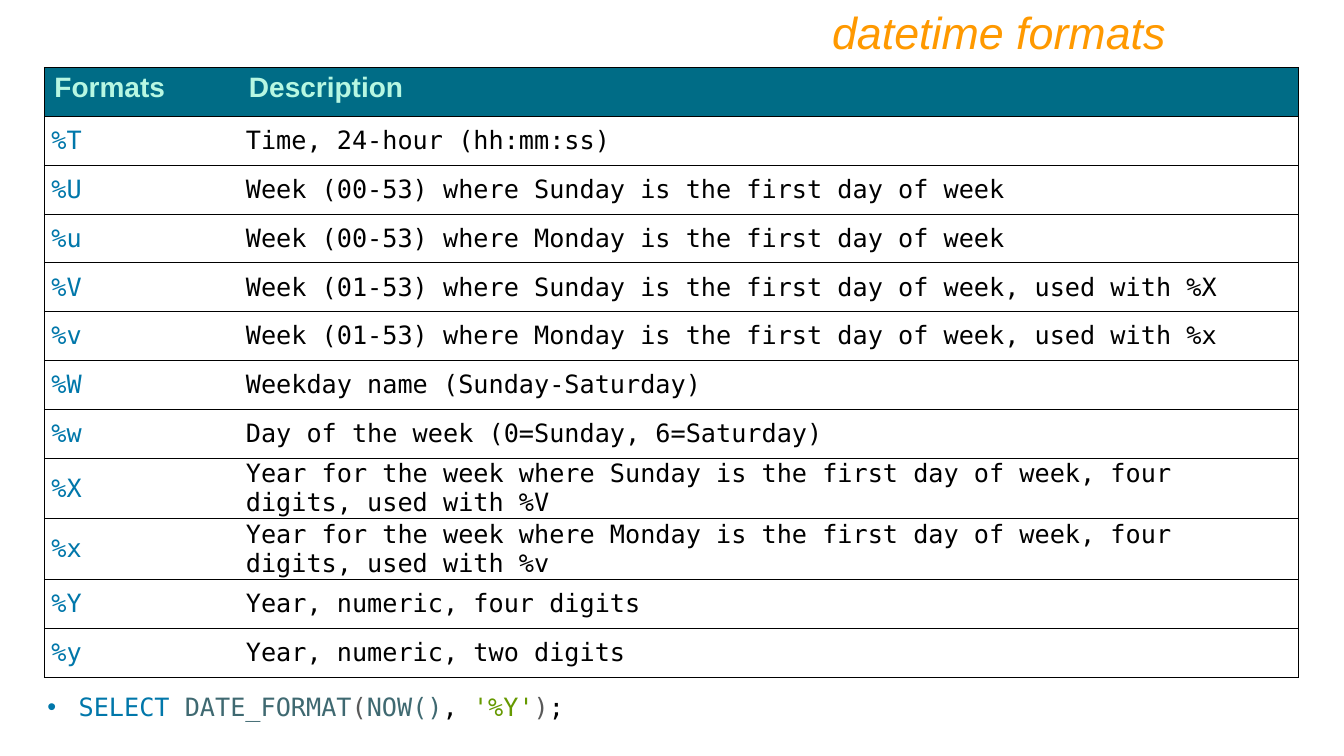
"""Build a slide that lists datetime format codes with a sample query."""
from dataclasses import dataclass

from lxml import etree
from pptx import Presentation
from pptx.dml.color import RGBColor
from pptx.enum.text import MSO_ANCHOR, MSO_AUTO_SIZE, PP_ALIGN
from pptx.oxml.ns import qn
from pptx.util import Pt

PX = 4572
TOP, MIDDLE = MSO_ANCHOR.TOP, MSO_ANCHOR.MIDDLE
GROW = MSO_AUTO_SIZE.SHAPE_TO_FIT_TEXT
LEFT, RIGHT = PP_ALIGN.LEFT, PP_ALIGN.RIGHT

BLACK = RGBColor(0x00, 0x00, 0x00)
ORANGE = RGBColor(0xFF, 0x99, 0x00)
TEAL = RGBColor(0x00, 0x6C, 0x86)
MINT = RGBColor(0xB7, 0xF7, 0xE2)
BLUE = RGBColor(0x00, 0x77, 0xAA)
SLATE = RGBColor(0x3F, 0x69, 0x71)
GREY = RGBColor(0x59, 0x59, 0x59)
GREEN = RGBColor(0x66, 0x99, 0x00)

SANS, MONO = "Arial", "DejaVu Sans Mono"
TITLE_FORMAT = {"name": SANS, "size": Pt(32), "italic": True, "bold": False}
HEADER_FORMAT = {"name": SANS, "size": Pt(20), "bold": True}
CODE_FORMAT = {"name": MONO, "size": Pt(18), "bold": False}


@dataclass(frozen=True)
class Box:
    """Place and size in px."""

    left: int
    top: int
    width: int
    height: int


@dataclass(frozen=True)
class Span:
    """Text in one colour."""

    text: str
    color: RGBColor


@dataclass(frozen=True)
class FormatCode:
    """A format code and its meaning."""

    code: str
    meaning: str


PAGE_WIDTH, PAGE_HEIGHT = 2667, 1500
TITLE_BOX = Box(334, 0, 2000, 128)
QUERY_BOX = Box(74, 1362, 1934, 80)
COLUMN_WIDTHS = (386, 2102)
ROW_HEIGHT = 97
TABLE_LEFT, TABLE_TOP = 88, 134
CELL_INSET = 14
BULLET_INDENT = 62

HEADER = FormatCode("Formats", "Description")
FORMAT_CODES = (
    FormatCode("%T", "Time, 24-hour (hh:mm:ss)"),
    FormatCode("%U", "Week (00-53) where Sunday is the first day of week"),
    FormatCode("%u", "Week (00-53) where Monday is the first day of week"),
    FormatCode("%V", "Week (01-53) where Sunday is the first day of week, used with %X"),
    FormatCode("%v", "Week (01-53) where Monday is the first day of week, used with %x"),
    FormatCode("%W", "Weekday name (Sunday-Saturday)"),
    FormatCode("%w", "Day of the week (0=Sunday, 6=Saturday)"),
    FormatCode("%X", "Year for the week where Sunday is the first day of week, four digits, used with %V"),
    FormatCode("%x", "Year for the week where Monday is the first day of week, four digits, used with %v"),
    FormatCode("%Y", "Year, numeric, four digits"),
    FormatCode("%y", "Year, numeric, two digits"),
)
QUERY = (
    Span("SELECT ", BLUE),
    Span("DATE_FORMAT", SLATE),
    Span("(", GREY),
    Span("NOW()", SLATE),
    Span(", ", BLACK),
    Span("'%Y'", GREEN),
    Span(")", GREY),
    Span(";", BLACK),
)


def set_attributes(target, values: dict) -> None:
    """Set each named attribute on the target."""
    for name, value in values.items():
        setattr(target, name, value)


def write_spans(para, spans: tuple[Span, ...], font_format: dict) -> None:
    """Add coloured spans to a paragraph."""
    for span in spans:
        run = para.add_run()
        run.text = span.text
        set_attributes(run.font, font_format)
        run.font.color.rgb = span.color


def place_placeholder(shape, box: Box, align: PP_ALIGN):
    """Move a placeholder and return its first paragraph, set up plainly."""
    for name in ("left", "top", "width", "height"):
        setattr(shape, name, getattr(box, name) * PX)
    set_attributes(shape.text_frame, {"word_wrap": True, "auto_size": GROW, "vertical_anchor": TOP})
    para = shape.text_frame.paragraphs[0]
    set_attributes(para, {"alignment": align, "space_before": Pt(0), "line_spacing": 1.0})
    return para


def add_bullet(para, color: RGBColor) -> None:
    """Give a paragraph a hanging bullet."""
    properties = para._p.get_or_add_pPr()
    properties.set("marL", str(BULLET_INDENT * PX))
    properties.set("indent", str(-BULLET_INDENT * PX))
    bullet_color = etree.SubElement(properties, qn("a:buClr"))
    etree.SubElement(bullet_color, qn("a:srgbClr"), val=str(color))
    etree.SubElement(properties, qn("a:buFont"), typeface=SANS)
    etree.SubElement(properties, qn("a:buChar"), char="•")


def set_borders(cell, visible_sides: str) -> None:
    """Draw the visible sides of a cell and clear the others."""
    properties = cell._tc.get_or_add_tcPr()
    for side in "LRTB":
        line = etree.SubElement(properties, qn(f"a:ln{side}"), w=str(Pt(0.75)))
        if side in visible_sides:
            fill = etree.SubElement(line, qn("a:solidFill"))
            etree.SubElement(fill, qn("a:srgbClr"), val=str(BLACK))
        else:
            etree.SubElement(line, qn("a:noFill"))


def add_format_table(page) -> None:
    """Add the table of format codes."""
    entries = (HEADER, *FORMAT_CODES)
    frame = page.shapes.add_table(
        len(entries), len(COLUMN_WIDTHS), TABLE_LEFT * PX, TABLE_TOP * PX,
        sum(COLUMN_WIDTHS) * PX, len(entries) * ROW_HEIGHT * PX,
    )
    table = frame.table
    set_attributes(table, {"first_row": False, "horz_banding": False})
    for column, width in zip(table.columns, COLUMN_WIDTHS):
        column.width = width * PX
    body_cell = {
        "vertical_anchor": MIDDLE, "margin_left": CELL_INSET * PX,
        "margin_right": CELL_INSET * PX, "margin_top": 0, "margin_bottom": 0,
    }
    for row, entry in zip(table.rows, entries):
        row.height = ROW_HEIGHT * PX
        is_header = entry is HEADER
        colors = (MINT, MINT) if is_header else (BLUE, BLACK)
        texts = (entry.code, entry.meaning)
        for cell, text, color, sides in zip(row.cells, texts, colors, ("LTB", "RTB")):
            set_borders(cell, sides)
            if is_header:
                cell.fill.solid()
                cell.fill.fore_color.rgb = TEAL
            else:
                cell.fill.background()
                set_attributes(cell, body_cell)
            font_format = HEADER_FORMAT if is_header else CODE_FORMAT
            write_spans(cell.text_frame.paragraphs[0], (Span(text, color),), font_format)


def main() -> None:
    """Build and save the deck."""
    deck = Presentation()
    set_attributes(deck, {"slide_width": PAGE_WIDTH * PX, "slide_height": PAGE_HEIGHT * PX})
    page = deck.slides.add_slide(deck.slide_layouts[1])
    title = place_placeholder(page.shapes.title, TITLE_BOX, RIGHT)
    write_spans(title, (Span("datetime formats", ORANGE),), TITLE_FORMAT)
    add_format_table(page)
    query = place_placeholder(page.placeholders[1], QUERY_BOX, LEFT)
    add_bullet(query, BLUE)
    write_spans(query, QUERY, CODE_FORMAT)
    deck.save("out.pptx")


if __name__ == "__main__":
    main()
